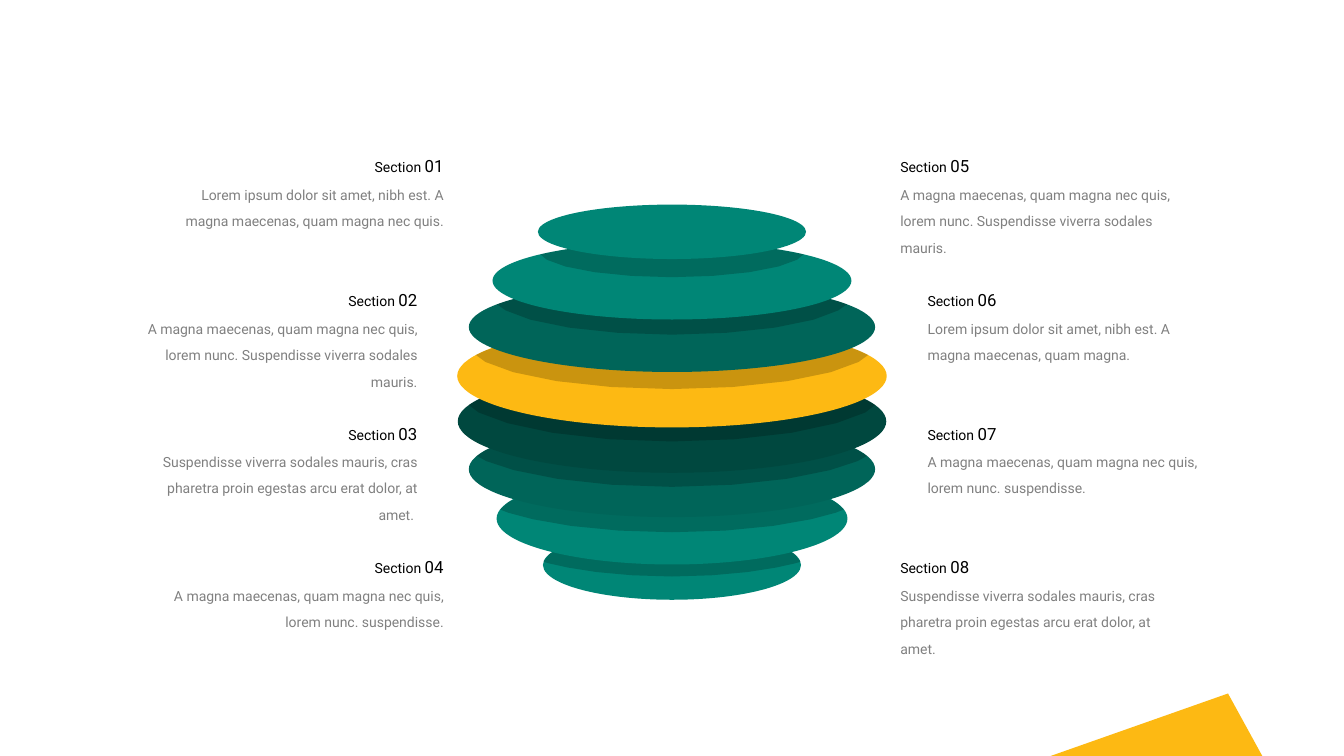
import math
import lxml.etree
import pptx
import pptx.dml.color
import pptx.enum.shapes
import pptx.enum.text
import pptx.oxml.ns
import pptx.util

Inches = pptx.util.Inches
ANCHOR = pptx.enum.text.MSO_ANCHOR
ALIGN = pptx.enum.text.PP_ALIGN
GOLD, TEAL, DEEP_TEAL, DARK_TEAL = "FDB913", "008676", "006559", "00483F"
PAGE_WIDTH = 13.33
CENTER_X = PAGE_WIDTH / 2


def paint(shape, color):
    """Give a shape a flat fill with no outline or shadow."""
    shape.shadow.inherit = False
    shape.fill.solid()
    shape.fill.fore_color.rgb = pptx.dml.color.RGBColor.from_string(color)
    shape.line.fill.background()


def add_outline(page, points, color):
    """Draw a closed, filled outline through points given in inches."""
    corners = [(Inches(x), Inches(y)) for x, y in points]
    builder = page.shapes.build_freeform(*corners[0], scale=1.0)
    builder.add_line_segments(corners[1:], close=True)
    shape = builder.convert_to_shape()
    paint(shape, color)
    return shape


deck = pptx.Presentation()
deck.slide_width, deck.slide_height = Inches(PAGE_WIDTH), Inches(7.5)
page = deck.slides.add_slide(deck.slide_layouts[6])

# Gold corner
add_outline(page, [(12.18, 6.88), (10.42, 7.5), (12.52, 7.5)], GOLD)

# Sliced sphere, top to bottom: top, width, height, colour,
# then the drop and width of the shade cast by the disc above
discs = [
    (2.03, 2.66, 0.54, TEAL, 0, 0),
    (2.40, 3.56, 0.77, TEAL, 0.18, 2.61),
    (2.80, 4.03, 0.89, DEEP_TEAL, 0.15, 3.47),
    (3.22, 4.26, 1.02, GOLD, 0.17, 3.89),
    (3.67, 4.25, 1.02, DARK_TEAL, 0.14, 4.03),
    (4.18, 4.03, 0.95, DEEP_TEAL, 0.14, 3.87),
    (4.69, 3.48, 0.91, TEAL, 0.15, 3.41),
    (5.26, 2.56, 0.69, TEAL, 0.12, 2.55),
]
STEPS = 10
for index in reversed(range(len(discs))):
    top, width, height, color, drop, reach = discs[index]
    disc = page.shapes.add_shape(
        pptx.enum.shapes.MSO_SHAPE.OVAL,
        Inches(CENTER_X - width / 2), Inches(top), Inches(width), Inches(height))
    paint(disc, color)
    if index == 0:
        continue

    # Shade between this disc's upper edge and the lowered edge of the one above
    above_top, above_width, above_height = discs[index - 1][:3]
    upper_edge, lower_edge = [], []
    for step in range(STEPS + 1):
        x = -reach / 2 * math.cos(math.pi * step / STEPS)
        rise = height / 2 * math.sqrt(1 - (2 * x / width) ** 2)
        fall = above_height / 2 * math.sqrt(1 - (2 * x / above_width) ** 2)
        upper_edge.append((CENTER_X + x, top + height / 2 - rise))
        lower_edge.append((CENTER_X + x, above_top + above_height / 2 + drop + fall))
    shade = add_outline(page, upper_edge + lower_edge[-2:0:-1], "000000")
    shade_color = shade.element.xpath(".//a:solidFill/a:srgbClr")[0]
    lxml.etree.SubElement(shade_color, pptx.oxml.ns.qn("a:alpha"), val="20000")

# Sections: number, text, lines of text
LOREM = "Lorem ipsum dolor sit amet, nibh est. A magna maecenas, quam magna"
MAGNA = "A magna maecenas, quam magna nec quis, lorem nunc."
VIVERRA = ("Suspendisse viverra sodales mauris, cras pharetra proin egestas "
           "arcu erat dolor, at amet.")
sections = [
    ("01", LOREM + " nec quis.", 2),
    ("02", MAGNA + " Suspendisse viverra sodales mauris.", 3),
    ("03", VIVERRA + " ", 3),
    ("04", MAGNA + " suspendisse.", 2),
    ("05", MAGNA + " Suspendisse viverra sodales mauris.", 3),
    ("06", LOREM + ".", 2),
    ("07", MAGNA + " suspendisse.", 2),
    ("08", VIVERRA, 3),
]
heading_tops = [1.49, 2.82, 4.15, 5.47]
body_tops = [1.7, 3.03, 4.35, 5.68]
left_edges = [4.4, 4.14, 4.14, 4.4]
right_edges = [8.93, 9.2, 9.2, 8.93]
frame_format = {
    "word_wrap": True,
    "auto_size": pptx.enum.text.MSO_AUTO_SIZE.SHAPE_TO_FIT_TEXT,
    "margin_left": 0,
    "margin_right": 0,
    "margin_top": Inches(0.05),
    "margin_bottom": Inches(0.05),
}
for index, (number, words, lines) in enumerate(sections):
    row = index % 4
    on_left = index < 4
    boxes = [
        (heading_tops[row], 2.63, 0.3, ANCHOR.BOTTOM, None, "000000",
         [("Section ", 10), (number, 12)]),
        (body_tops[row], 2.84, 0.1 + lines * 19 / 72, ANCHOR.TOP, pptx.util.Pt(19),
         "808080", [(words, 10)]),
    ]
    for top, width, height, anchor, spacing, color, spans in boxes:
        left = left_edges[row] - width if on_left else right_edges[row]
        box = page.shapes.add_textbox(
            Inches(left), Inches(top), Inches(width), Inches(height))
        for name, value in frame_format.items():
            setattr(box.text_frame, name, value)
        box.text_frame.vertical_anchor = anchor
        para = box.text_frame.paragraphs[0]
        para.alignment = ALIGN.RIGHT if on_left else ALIGN.LEFT
        para.line_spacing = spacing
        for text, size in spans:
            span = para.add_run()
            span.text = text
            for name, value in {"name": "Roboto", "size": pptx.util.Pt(size)}.items():
                setattr(span.font, name, value)
            span.font.color.rgb = pptx.dml.color.RGBColor.from_string(color)

deck.save("out.pptx")
